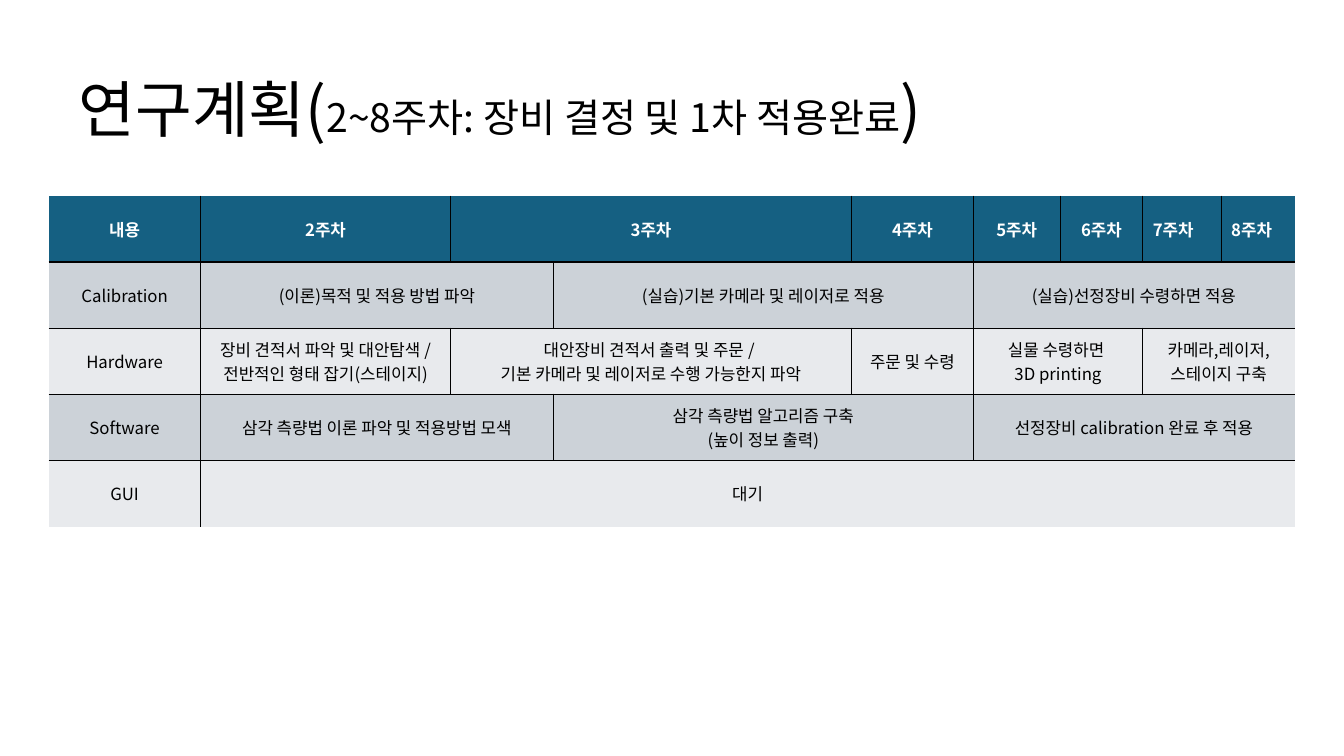
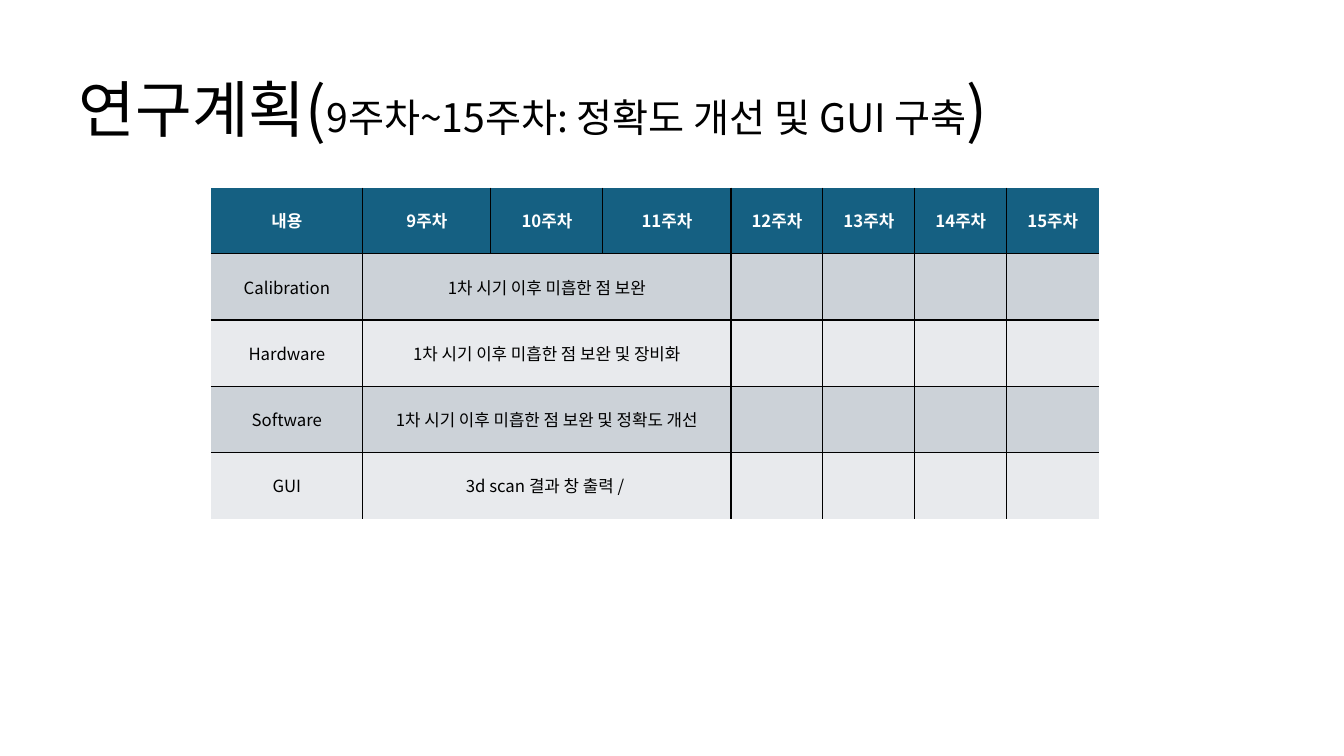
"""Two research-plan slides, each with a title and a weekly schedule table."""
from lxml.etree import SubElement
from pptx import Presentation
from pptx.dml.color import RGBColor
from pptx.enum.text import MSO_ANCHOR, MSO_AUTO_SIZE, PP_ALIGN
from pptx.oxml.ns import qn
from pptx.util import Pt

FONT = "Noto Sans CJK KR"
COLORS = {"text": "000000", "header_text": "FFFFFF", "line": "000000",
          "header": "156082", "odd": "CCD2D8", "even": "E8EAED"}
ROW_HEIGHT = 47.3

PLANS = [
    {
        "topic": "2~8주차: 장비 결정 및 1차 적용완료",
        "left": 34.8, "top": 139.8,
        "widths": [108.5, 178.5, 73.5, 213, 87, 62, 59, 56, 52.5],
        "left_aligned": ("7주차", "8주차"),
        "rows": [
            [("내용", 1), ("2주차", 1), ("3주차", 2), ("4주차", 1),
             ("5주차", 1), ("6주차", 1), ("7주차", 1), ("8주차", 1)],
            [("Calibration", 1), ("(이론)목적 및 적용 방법 파악", 2),
             ("(실습)기본 카메라 및 레이저로 적용", 2),
             ("(실습)선정장비 수령하면 적용", 4)],
            [("Hardware", 1),
             ("장비 견적서 파악 및 대안탐색 /\n전반적인 형태 잡기(스테이지)", 1),
             ("대안장비 견적서 출력 및 주문 / \n기본 카메라 및 레이저로 수행 가능한지 파악", 2),
             ("주문 및 수령", 1), ("실물 수령하면 \n3D printing", 2),
             ("카메라,레이저,\n스테이지 구축", 2)],
            [("Software", 1), ("삼각 측량법 이론 파악 및 적용방법 모색", 2),
             ("삼각 측량법 알고리즘 구축\n(높이 정보 출력)", 2),
             ("선정장비 calibration 완료 후 적용", 4)],
            [("GUI", 1), ("대기", 8)],
        ],
    },
    {
        "topic": "9주차~15주차: 정확도 개선 및 GUI 구축",
        "left": 150.7, "top": 134,
        "widths": [108.5, 91.5, 80, 91.5] + [65.7] * 4,
        "left_aligned": (),
        "rows": [
            [("내용", 1)] + [(f"{week}주차", 1) for week in range(9, 16)],
            [("Calibration", 1), ("1차 시기 이후 미흡한 점 보완", 3)] + [("", 1)] * 4,
            [("Hardware", 1), ("1차 시기 이후 미흡한 점 보완 및 장비화", 3)] + [("", 1)] * 4,
            [("Software", 1), ("1차 시기 이후 미흡한 점 보완 및 정확도 개선", 3)] + [("", 1)] * 4,
            [("GUI", 1), ("3d scan 결과 창 출력 / ", 3)] + [("", 1)] * 4,
        ],
    },
]


def set_font(font, size, color, bold=False):
    font.name, font.size, font.bold = FONT, Pt(size), bold
    font.color.rgb = RGBColor.from_string(COLORS[color])


def set_east_asian(paragraph):
    holders = paragraph._p.findall(".//" + qn("a:defRPr"))
    holders += [run.font._element for run in paragraph.runs]
    for holder in holders:
        SubElement(holder, qn("a:ea")).set("typeface", FONT)


def add_title(slide, topic):
    title = slide.shapes.title
    title.left, title.top, title.width, title.height = Pt(49), Pt(28), Pt(862), Pt(104.4)
    frame = title.text_frame
    frame.auto_size = MSO_AUTO_SIZE.NONE
    frame.vertical_anchor = MSO_ANCHOR.MIDDLE
    paragraph = frame.paragraphs[0]
    paragraph.alignment = PP_ALIGN.LEFT
    paragraph.line_spacing = 0.9
    for text, size in (("연구계획(", 44), (topic, 28), (")", 44)):
        run = paragraph.add_run()
        run.text = text
        set_font(run.font, size, "text")
    set_east_asian(paragraph)


def set_borders(cell, drawn):
    properties = cell._tc.get_or_add_tcPr()
    for position, (side, visible) in enumerate(drawn.items()):
        line = SubElement(properties, qn(f"a:{side}"), w=str(Pt(1)))
        properties.insert(position, line)
        if visible:
            fill = SubElement(line, qn("a:solidFill"))
            SubElement(fill, qn("a:srgbClr"), val=COLORS["line"])
        else:
            SubElement(line, qn("a:noFill"))


def write_cell(cell, text, header, alignment):
    cell.vertical_anchor = MSO_ANCHOR.MIDDLE
    cell.text = text
    for paragraph in cell.text_frame.paragraphs:
        paragraph.alignment = alignment
        set_font(paragraph.font, 12, "header_text" if header else "text", header)
        set_east_asian(paragraph)


def add_schedule(slide, plan):
    rows, widths = plan["rows"], plan["widths"]
    schedule = slide.shapes.add_table(
        len(rows), len(widths), Pt(plan["left"]), Pt(plan["top"]),
        Pt(sum(widths)), Pt(ROW_HEIGHT * len(rows))).table
    for column, width in zip(schedule.columns, widths):
        column.width = Pt(width)
    for r, entries in enumerate(rows):
        schedule.rows[r].height = Pt(ROW_HEIGHT)
        band = "header" if r == 0 else ("even", "odd")[r % 2]
        first = 0
        for text, span in entries:
            last = first + span - 1
            for c in range(first, last + 1):
                cell = schedule.cell(r, c)
                cell.fill.solid()
                cell.fill.fore_color.rgb = RGBColor.from_string(COLORS[band])
                set_borders(cell, {
                    "lnL": c == first > 0,
                    "lnR": c == last < len(widths) - 1,
                    "lnT": r > 0,
                    "lnB": r < len(rows) - 1,
                })
            origin = schedule.cell(r, first)
            if span > 1:
                origin.merge(schedule.cell(r, last))
            left_aligned = text in plan["left_aligned"]
            write_cell(origin, text, r == 0, PP_ALIGN.LEFT if left_aligned else PP_ALIGN.CENTER)
            first = last + 1


def main():
    deck = Presentation()
    deck.slide_width, deck.slide_height = Pt(960), Pt(540)
    for plan in PLANS:
        slide = deck.slides.add_slide(deck.slide_layouts[5])
        add_title(slide, plan["topic"])
        add_schedule(slide, plan)
    deck.save("out.pptx")


if __name__ == "__main__":
    main()
